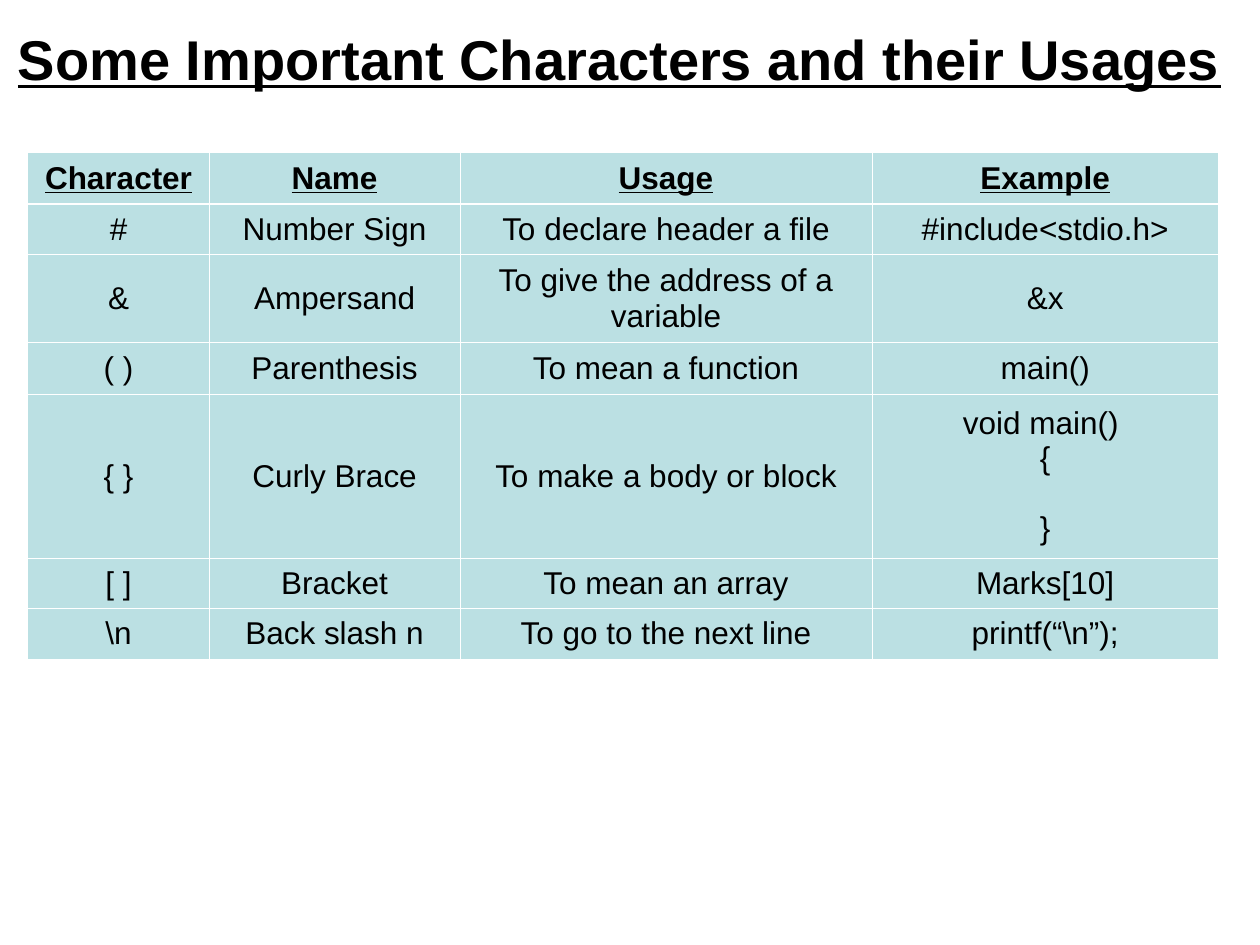
import lxml.etree
import pptx
import pptx.dml.color
import pptx.enum.text
import pptx.oxml.ns
import pptx.util

Cm = pptx.util.Cm
Pt = pptx.util.Pt

FONT = "Arial"
BLACK = "000000"
WHITE = "FFFFFF"
CELL_FILL = "BBE0E3"
THIN, THICK = 0.45, 1.47

COLUMN_WIDTHS = [3.66, 5.05, 8.31, 6.98]
ROW_HEIGHTS = [1.04, 1.02, 1.78, 1.04, 3.3, 1.02, 1.02]
ROWS = [
    [["Character"], ["Name"], ["Usage"], ["Example"]],
    [["#"], ["Number Sign"], ["To declare header a file"], ["#include<stdio.h>"]],
    [["&"], ["Ampersand"], ["To give the address of a variable"], ["&x"]],
    [["( )"], ["Parenthesis"], ["To mean a function"], ["main()"]],
    [["{ }"], ["Curly Brace"], ["To make a body or block"], ["void main() ", "{", "}"]],
    [["[ ]"], ["Bracket"], ["To mean an array"], ["Marks[10]"]],
    [[r"\n"], ["Back slash n"], ["To go to the next line"], [r"printf(“\n”);"]],
]


def color(hex_string):
    return pptx.dml.color.RGBColor.from_string(hex_string)


def format_paragraph(para, size, heading):
    para.alignment = pptx.enum.text.PP_ALIGN.CENTER
    para.font.name = FONT
    para.font.size = Pt(size)
    para.font.bold = heading
    para.font.underline = heading
    para.font.color.rgb = color(BLACK)


def add_border(cell, side, width):
    properties = cell._tc.get_or_add_tcPr()
    qn = pptx.oxml.ns.qn
    line = lxml.etree.SubElement(properties, qn(f"a:ln{side}"), w=str(Pt(width)))
    fill = lxml.etree.SubElement(line, qn("a:solidFill"))
    lxml.etree.SubElement(fill, qn("a:srgbClr"), val=WHITE)


def format_cell(cell, lines, row_number):
    top = THICK if row_number == 1 else THIN
    bottom = THICK if row_number == 0 else THIN
    for side, width in (("L", THIN), ("R", THIN), ("T", top), ("B", bottom)):
        add_border(cell, side, width)
    cell.fill.solid()
    cell.fill.fore_color.rgb = color(CELL_FILL)
    cell.vertical_anchor = pptx.enum.text.MSO_ANCHOR.MIDDLE
    cell.text_frame.text = "\n".join(lines)
    for para in cell.text_frame.paragraphs:
        format_paragraph(para, 18, heading=row_number == 0)
        if para.text == "}":
            para.space_before = Pt(20)


def place_title(page, left, top, width, height):
    title = page.shapes.title
    title.left, title.top = Cm(left), Cm(top)
    title.width, title.height = Cm(width), Cm(height)
    frame = title.text_frame
    frame.text = "Some Important Characters and their Usages"
    frame.word_wrap = True
    frame.auto_size = pptx.enum.text.MSO_AUTO_SIZE.NONE
    frame.vertical_anchor = pptx.enum.text.MSO_ANCHOR.MIDDLE
    format_paragraph(frame.paragraphs[0], 32, heading=True)


def add_character_table(page, left, top):
    table = page.shapes.add_table(
        len(ROWS), len(COLUMN_WIDTHS), Cm(left), Cm(top),
        Cm(sum(COLUMN_WIDTHS)), Cm(sum(ROW_HEIGHTS)),
    ).table
    table.horz_banding = False
    for column, width in zip(table.columns, COLUMN_WIDTHS):
        column.width = Cm(width)
    for row_number, (row, height) in enumerate(zip(table.rows, ROW_HEIGHTS)):
        row.height = Cm(height)
        for cell, lines in zip(row.cells, ROWS[row_number]):
            format_cell(cell, lines, row_number)


def main():
    deck = pptx.Presentation()
    deck.slide_width, deck.slide_height = Cm(25.4), Cm(19.05)
    page = deck.slides.add_slide(deck.slide_layouts.get_by_name("Title Only"))
    place_title(page, 0, 0.43, 24.97, 1.47)
    add_character_table(page, 0.56, 3.07)
    deck.save("out.pptx")


if __name__ == "__main__":
    main()
